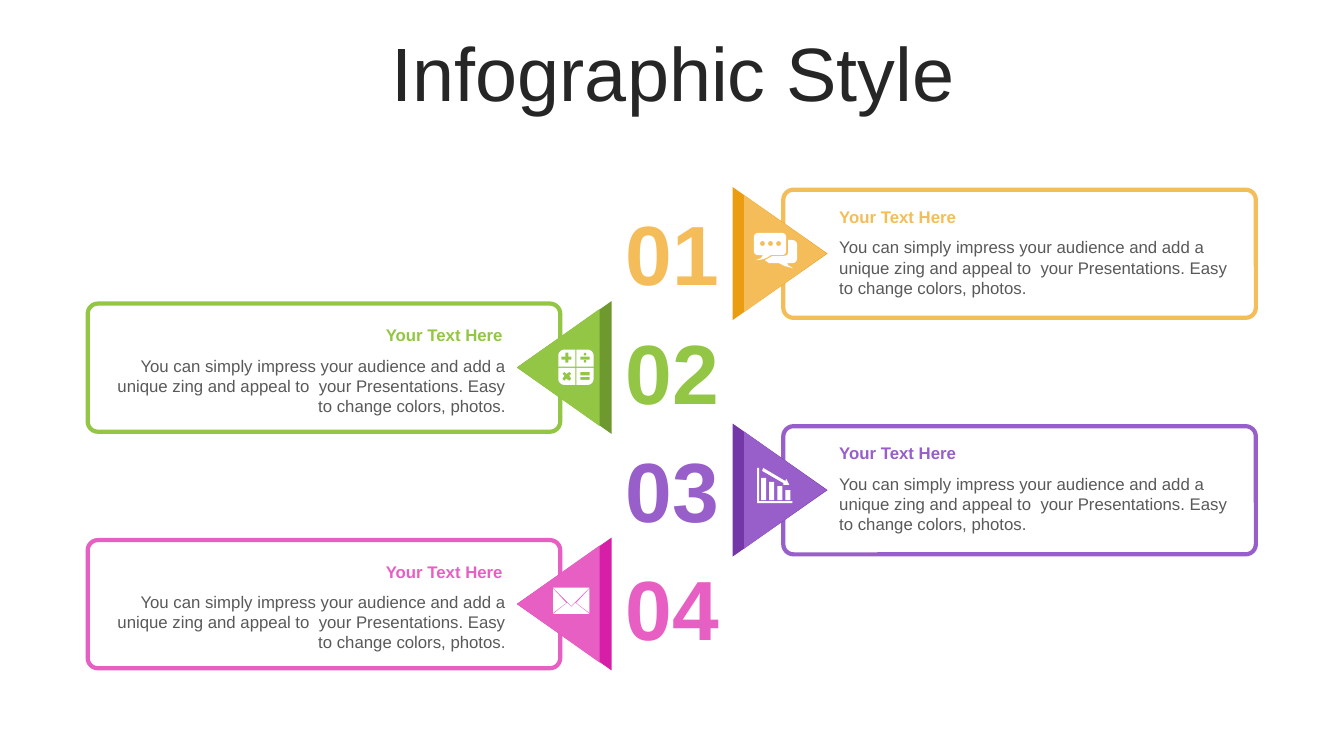
from math import cos, radians, sin

from pptx import Presentation
from pptx.dml.color import RGBColor
from pptx.enum.shapes import MSO_SHAPE as Shape
from pptx.enum.text import MSO_ANCHOR as Anchor, MSO_AUTO_SIZE as AutoSize, PP_ALIGN as Align
from pptx.util import Cm, Pt

WHITE, TITLE_COLOR, BODY_COLOR = "FFFFFF", "262626", "595959"
BODY = ("You can simply impress your audience and add a unique zing and appeal to  "
        "your Presentations. Easy to change colors, photos.")
ICON_UNIT = Cm(2.54) / 100
SUBUNITS = 10  # icon outlines are rounded to a tenth of a unit


def color(hex_value):
    return RGBColor.from_string(hex_value)


# Outline helpers, in icon units
def box(left, top, right, bottom):
    return [(left, top), (right, top), (right, bottom), (left, bottom)]


def arc(x, y, radius, start, sweep=90):
    angles = [radians(start + sweep * step / 8) for step in range(9)]
    return [(x + radius * cos(angle), y + radius * sin(angle)) for angle in angles]


def dot(x, y, radius):
    return arc(x, y, radius, 0, 360)[:-1]


# Icon outlines
CHAT = [
    *[dot(x, 10.5, 2.5) for x in (8.5, 16.5, 24.5)],
    arc(4, 4, 4, 180) + arc(28, 4, 4, 270) + arc(28, 18, 4, 0)
    + [(17, 22), (12, 25), (7, 26.5), (2, 27), (7, 25), (9, 22)] + arc(4, 18, 4, 90),
    [(34, 7)] + arc(38, 12, 5, 270) + arc(38, 25, 5, 0)
    + [(33, 30), (34, 32), (39, 35), (31, 33), (25, 30), (15, 30), (11, 27),
       (18, 23), (29, 23), (33, 22), (34, 19)],
]
CALCULATOR = [
    arc(6, 6, 6, 180) + [(17, 0), (17, 17), (0, 17)],
    arc(29, 6, 6, 270) + [(35, 17), (18, 17), (18, 0)],
    arc(29, 29, 6, 0) + [(18, 35), (18, 18), (35, 18)],
    arc(6, 29, 6, 90) + [(0, 18), (17, 18), (17, 35)],
    [(7, 3), (10, 3), (10, 7), (13, 7), (13, 10), (10, 10),
     (10, 13), (7, 13), (7, 10), (3, 10), (3, 7), (7, 7)],
    [(6, 22), (4, 24), (6, 26), (4, 29), (6, 31), (8, 29),
     (11, 31), (13, 29), (11, 26), (13, 24), (11, 22), (8, 24)],
    box(22, 7, 31, 10), dot(26.5, 4.5, 1.5), dot(26.5, 11.5, 1.5),
    box(22, 22, 31, 25.5), box(22, 27, 31, 30),
]
BAR_CHART = [
    *[box(4 + 8 * bar, 10 + 4 * bar, 9 + 8 * bar, 32) for bar in range(4)],
    [(6, 0), (28, 13), (29, 11), (32, 17), (26, 17), (26, 15), (5, 3)],
    [(0, 0), (2, 0), (2, 33), (35, 33), (35, 35), (0, 35)],
]
ENVELOPE = [
    [(22, 15), (36, 26), (0, 26), (14, 15), (18, 19)],
    [(36, 1), (36, 25), (23, 15)],
    [(0, 1), (13, 15), (0, 25)],
    [(0, 0), (36, 0), (18, 18)],
]


class SlideBuilder:
    font_name = "Arial"

    def __init__(self, slide):
        self.slide = slide

    def set_text(self, shape, text, size, hex_value, align, bold=False):
        shape.text_frame.text = text
        paragraph = shape.text_frame.paragraphs[0]
        paragraph.alignment = align
        font = paragraph.font
        font.name, font.size, font.bold = self.font_name, Pt(size), bold
        font.color.rgb = color(hex_value)
        return paragraph

    def title(self, text):
        shape = self.slide.shapes.title
        shape.left, shape.top, shape.width, shape.height = Cm(0.89), Cm(0.94), Cm(32.16), Cm(2.01)
        shape.text_frame.auto_size = AutoSize.NONE
        shape.text_frame.vertical_anchor = Anchor.MIDDLE
        paragraph = self.set_text(shape, text, 54, TITLE_COLOR, Align.CENTER)
        paragraph.line_spacing = 0.9

    def text(self, text, left, top, width, height, size, hex_value, align,
             bold=False, anchor=Anchor.TOP):
        shape = self.slide.shapes.add_textbox(Cm(left), Cm(top), Cm(width), Cm(height))
        shape.text_frame.word_wrap = True
        shape.text_frame.auto_size = AutoSize.SHAPE_TO_FIT_TEXT
        shape.text_frame.vertical_anchor = anchor
        self.set_text(shape, text, size, hex_value, align, bold)

    def paint(self, shape, fill, line=None):
        shape.shadow.inherit = False
        shape.fill.solid()
        shape.fill.fore_color.rgb = color(fill)
        if line:
            shape.line.color.rgb = color(line)
            shape.line.width = Pt(3)
        else:
            shape.line.fill.background()

    def card(self, left, top, width, height, line):
        shape = self.slide.shapes.add_shape(
            Shape.ROUNDED_RECTANGLE, Cm(left), Cm(top), Cm(width), Cm(height))
        shape.adjustments[0] = 0.08
        self.paint(shape, WHITE, line)

    def triangle(self, center_x, center_y, width, height, rotation, fill):
        shape = self.slide.shapes.add_shape(
            Shape.ISOSCELES_TRIANGLE, Cm(center_x - width / 2), Cm(center_y - height / 2),
            Cm(width), Cm(height))
        shape.rotation = rotation
        self.paint(shape, fill)

    def icon(self, contours, left, top):
        scaled = [[(round(x * SUBUNITS), round(y * SUBUNITS)) for x, y in contour]
                  for contour in contours]
        builder = self.slide.shapes.build_freeform(*scaled[0][0], scale=ICON_UNIT / SUBUNITS)
        for index, contour in enumerate(scaled):
            if index:
                builder.move_to(*contour[0])
            builder.add_line_segments(contour[1:], close=True)
        self.paint(builder.convert_to_shape(Cm(left), Cm(top)), WHITE)


# Colour, dark edge, icon, icon left and top
STEPS = [
    ("F4BD59", "EA9D10", CHAT, 19.0, 5.87),
    ("92C644", "6E992F", CALCULATOR, 14.07, 8.81),
    ("985ECA", "7337A7", BAR_CHART, 19.08, 11.79),
    ("E85FC4", "D61FA6", ENVELOPE, 13.94, 14.81),
]
# Card left and top, edge and face centres, rotation, text left, alignment
RIGHT_SIDE = (19.74, 4.78, 19.66, 19.79, 90, 20.9, Align.LEFT)
LEFT_SIDE = (2.21, 7.65, 14.22, 14.07, 270, 2.51, Align.RIGHT)


def main():
    presentation = Presentation()
    presentation.slide_width, presentation.slide_height = Cm(33.87), Cm(19.05)
    slide = presentation.slides.add_slide(presentation.slide_layouts[5])
    builder = SlideBuilder(slide)
    builder.title("Infographic Style")

    for index, (main_color, edge_color, icon, icon_left, icon_top) in enumerate(STEPS):
        pair, side = divmod(index, 2)
        card_left, first_top, edge_x, face_x, rotation, text_left, align = (
            RIGHT_SIDE, LEFT_SIDE)[side]
        card_top = first_top + 5.96 * pair
        center_y = card_top + 1.61
        number_top = 4.95 + 2.98 * index

        # Card and arrow
        builder.card(card_left, card_top, 11.91, 3.23, main_color)
        builder.triangle(edge_x, center_y, 3.35, 2.39, rotation, edge_color)
        builder.triangle(face_x, center_y, 2.95, 2.08, rotation, main_color)
        builder.icon(icon, icon_left, icon_top)

        # Number, heading and body
        builder.text(f"{index + 1:02}", 15.49, number_top, 2.9, 2.82, 60, main_color,
                     Align.CENTER, bold=True, anchor=Anchor.MIDDLE)
        builder.text("Your Text Here", text_left, number_top + 0.13, 10.41, 0.76, 12,
                     main_color, align, bold=True)
        builder.text(BODY, text_left, number_top + 0.9, 10.49, 1.8, 12, BODY_COLOR, align)

    presentation.save("out.pptx")


if __name__ == "__main__":
    main()
